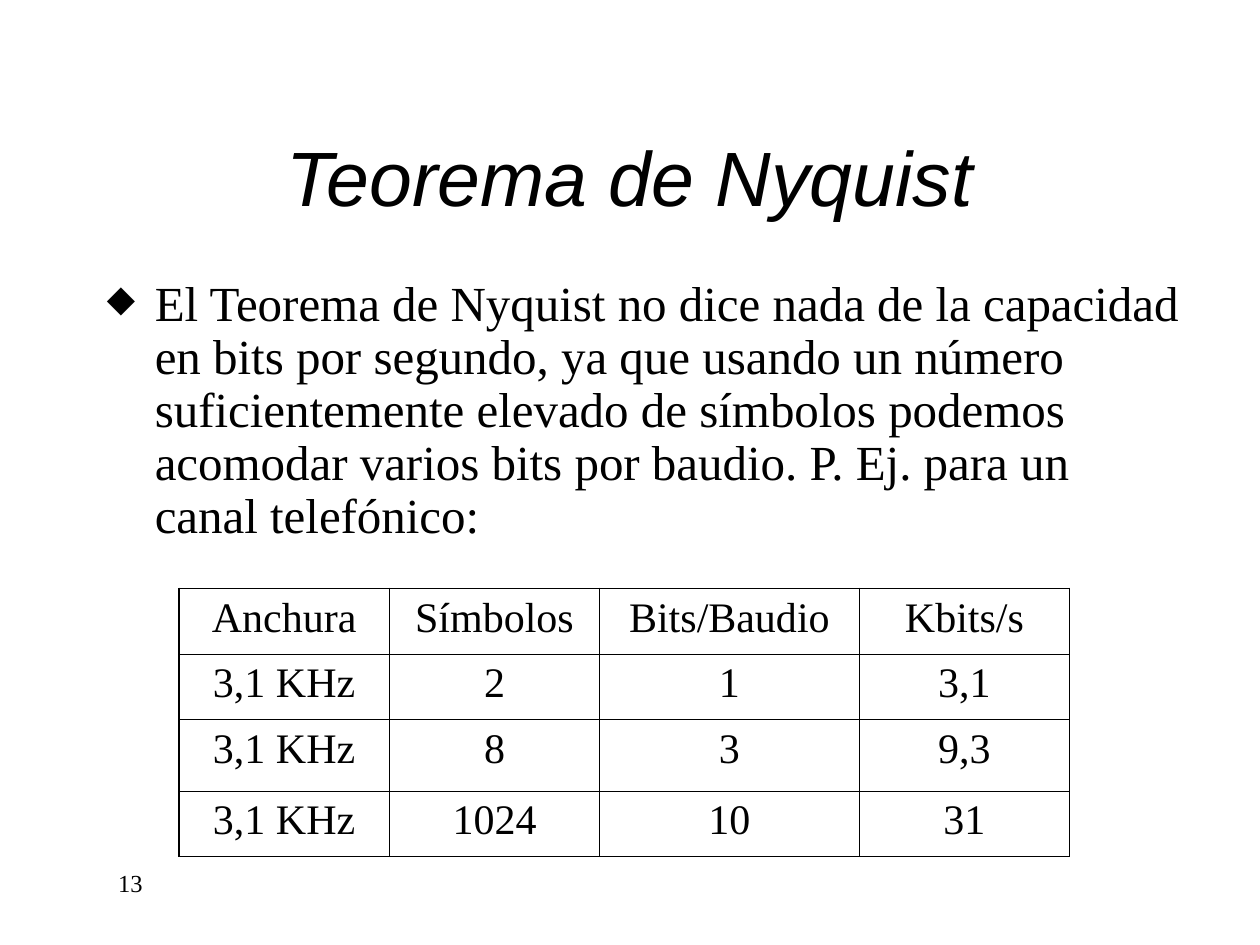
import pptx
import pptx.dml.color
import pptx.enum.text
import pptx.oxml
import pptx.util
from pptx.oxml.ns import nsdecls

ALIGN = pptx.enum.text.PP_ALIGN
ANCHOR = pptx.enum.text.MSO_ANCHOR


def color(value):
    return pptx.dml.color.RGBColor.from_string(value)


def write(para, text, size=24, font="Times New Roman", ink="000000", italic=False, align=ALIGN.LEFT):
    para.alignment = align
    span = para.add_run()
    span.text = text
    span.font.size = pptx.util.Pt(size)
    span.font.name = font
    span.font.italic = italic
    span.font.color.rgb = color(ink)


class Slide:
    ink = "000000"
    unit = 0.1
    outer, inner = 1.08, 0.45

    def __init__(self, deck):
        self.page = deck.slides.add_slide(deck.slide_layouts[6])

    def length(self, count):
        return pptx.util.Inches(count * self.unit)

    def text(self, place, text, anchor=ANCHOR.TOP, **style):
        box = self.page.shapes.add_textbox(*map(self.length, place))
        frame = box.text_frame
        frame.word_wrap = True
        frame.vertical_anchor = anchor
        para = frame.paragraphs[0]
        write(para, text, **style)
        return para

    def bullet(self, place, text, mark="◆", share=75, indent=0.38, spacing=0.9, **style):
        para = self.text(place, text, **style)
        para.line_spacing = spacing
        margin = pptx.util.Inches(indent)
        properties = para._p.get_or_add_pPr()
        properties.set("marL", str(margin))
        properties.set("indent", str(-margin))
        for tag, content in (
            ("buClr", f'><a:srgbClr val="{self.ink}"/></a:buClr>'),
            ("buSzPct", f' val="{share * 1000}"/>'),
            ("buChar", f' char="{mark}"/>'),
        ):
            properties.append(pptx.oxml.parse_xml(f'<a:{tag} {nsdecls("a")}{content}'))

    def borders(self, cell, edges):
        properties = cell._tc.get_or_add_tcPr()
        for index, (side, outside) in enumerate(edges.items()):
            width = pptx.util.Pt(self.outer if outside else self.inner)
            properties.insert(index, pptx.oxml.parse_xml(
                f'<a:ln{side} {nsdecls("a")} w="{width}"><a:solidFill>'
                f'<a:srgbClr val="{self.ink}"/></a:solidFill></a:ln{side}>'))

    def table(self, left, top, widths, heights, records):
        place = map(self.length, (left, top, sum(widths), sum(heights)))
        grid = self.page.shapes.add_table(len(heights), len(widths), *place).table
        grid.first_row = grid.horz_banding = False
        for column, width in zip(grid.columns, widths):
            column.width = self.length(width)
        for row, height in zip(grid.rows, heights):
            row.height = self.length(height)
        last_row, last_column = len(heights) - 1, len(widths) - 1
        for row, record in enumerate(records):
            for column, value in enumerate(record):
                cell = grid.cell(row, column)
                cell.fill.background()
                self.borders(cell, {"L": column == 0, "R": column == last_column,
                                    "T": row == 0, "B": row == last_row})
                write(cell.text_frame.paragraphs[0], value, align=ALIGN.CENTER)


def main():
    deck = pptx.Presentation()
    deck.slide_width = pptx.util.Inches(10)
    deck.slide_height = pptx.util.Inches(7.5)
    slide = Slide(deck)
    slide.text((2.2, 68.4, 10.1, 3.3), "13", ANCHOR.MIDDLE, size=14, align=ALIGN.RIGHT)
    slide.text((7.5, 7.7, 85, 12.5), "Teorema de Nyquist", ANCHOR.MIDDLE,
               size=44, font="Arial", italic=True, align=ALIGN.CENTER)
    slide.bullet((7.5, 21.7, 87.5, 22.5),
                 "El Teorema de Nyquist no dice nada de la capacidad en bits por segundo, "
                 "ya que usando un número suficientemente elevado de símbolos podemos "
                 "acomodar varios bits por baudio. P. Ej. para un canal telefónico:", size=28)
    slide.table(14.2, 46.7, (16.7, 16.7, 20.6, 16.7), (5.2, 5.2, 5.7, 5.2), (
        ("Anchura", "Símbolos", "Bits/Baudio", "Kbits/s"),
        ("3,1 KHz", "2", "1", "3,1"),
        ("3,1 KHz", "8", "3", "9,3"),
        ("3,1 KHz", "1024", "10", "31"),
    ))
    deck.save("out.pptx")


if __name__ == "__main__":
    main()
